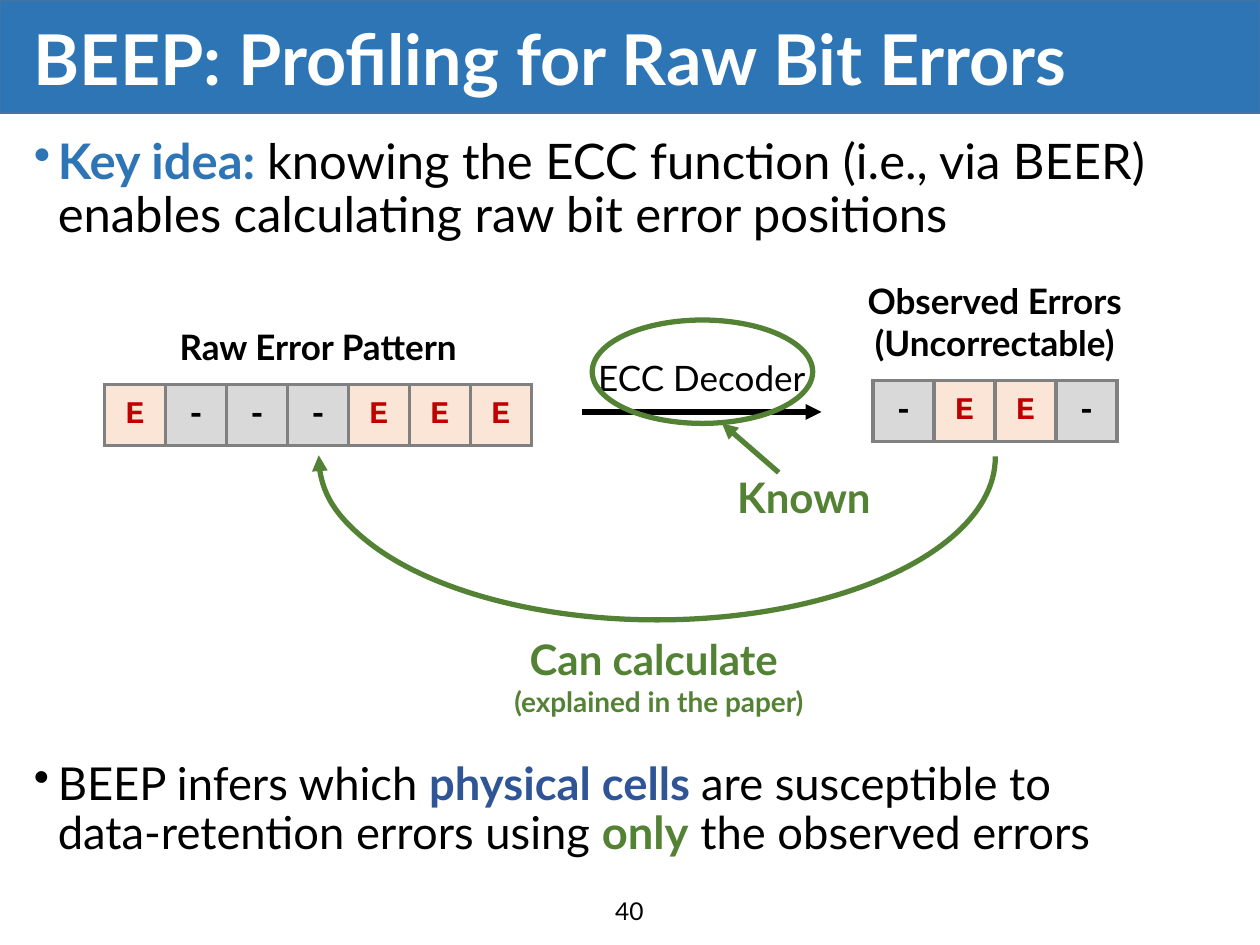
from lxml import etree
from pptx import Presentation
from pptx.dml.color import RGBColor
from pptx.enum.shapes import MSO_CONNECTOR, MSO_SHAPE
from pptx.enum.text import MSO_ANCHOR, PP_ALIGN
from pptx.oxml.ns import qn
from pptx.util import Pt

PX = 9144  # 100 px to the inch
LEFT, CENTER = PP_ALIGN.LEFT, PP_ALIGN.CENTER
TOP, MIDDLE = MSO_ANCHOR.TOP, MSO_ANCHOR.MIDDLE
STRAIGHT = MSO_CONNECTOR.STRAIGHT
RECTANGLE, ELLIPSE, ARC = MSO_SHAPE.RECTANGLE, MSO_SHAPE.OVAL, MSO_SHAPE.ARC
color = RGBColor.from_string
BLACK, WHITE, GREEN, BLUE = "000000", "FFFFFF", "548235", "2E75B6"

deck = Presentation()
deck.slide_width, deck.slide_height = 1000 * PX, 750 * PX
page = deck.slides.add_slide(deck.slide_layouts[6])


def add_text(place, lines, align=CENTER, anchor=TOP, inset=(7, 4), spacing=None, bullet=False):
    """Each line is (size, spans); each span is (text, colour, bold)."""
    box = page.shapes.add_textbox(*[n * PX for n in place])
    frame = box.text_frame
    frame.word_wrap = True
    frame.vertical_anchor = anchor
    frame.margin_left = frame.margin_right = inset[0] * PX
    frame.margin_top = frame.margin_bottom = inset[1] * PX
    for index, (size, spans) in enumerate(lines):
        para = frame.add_paragraph() if index else frame.paragraphs[0]
        para.alignment = align
        para.line_spacing = spacing
        para.font.name, para.font.size = "Lato", Pt(size)
        if bullet:
            para.space_before = Pt(7.5)
            props = para._p.get_or_add_pPr()
            props.set("marL", str(19 * PX))
            props.set("indent", str(-19 * PX))
            mark = etree.Element(qn("a:buChar"), char="•")
            props.find(qn("a:defRPr")).addprevious(mark)
        for text, hue, bold in spans:
            span = para.add_run()
            span.text = text
            span.font.color.rgb = color(hue)
            span.font.bold = bold


def style_line(shape, hue, arrow=False):
    """Gives a 3 pt line without shadow, with an arrowhead at its end if asked."""
    shape.line.color.rgb = color(hue)
    shape.line.width = Pt(3)
    if arrow:
        etree.SubElement(shape.line._get_or_add_ln(), qn("a:tailEnd"), type="triangle")
    if shape._element.spPr.find(qn("a:effectLst")) is None:
        etree.SubElement(shape._element.spPr, qn("a:effectLst"))


# Title band
band = page.shapes.add_shape(RECTANGLE, 0, 0, 1000 * PX, 90 * PX)
band.shadow.inherit = False
band.fill.solid()
band.fill.fore_color.rgb = color(BLUE)
band.line.color.rgb = color("43739E")
band.line.width = Pt(1)
add_text((17, 9, 964, 82), [(40, [("BEEP: Profiling for Raw Bit Errors", WHITE, True)])],
         LEFT, MIDDLE, (10, 5), 0.9)

# Bullet points
key_idea = [
    ("Key idea: ", BLUE, True),
    ("knowing the ECC function (i.e., via BEER) enables calculating raw bit error positions",
     BLACK, False),
]
inference = [
    ("BEEP infers which ", BLACK, False),
    ("physical cells ", "2F5597", True),
    ("are susceptible to data-retention errors using ", BLACK, False),
    ("only", GREEN, True),
    (" the observed errors", BLACK, False),
]
for place, size, spans in [((17, 104, 972, 107), 28, key_idea),
                           ((17, 599, 889, 93), 25.9, inference)]:
    add_text(place, [(size, spans)], LEFT, inset=(10, 5), spacing=0.9, bullet=True)

# Error patterns: E marks an error bit
for left, top, pattern in [(83, 305, "E---EEE"), (693, 302, "-EE-")]:
    side = round(48.4 * PX)
    table = page.shapes.add_table(1, len(pattern), left * PX, top * PX,
                                  side * len(pattern), side).table
    table.first_row = table.horz_banding = False
    table.rows[0].height = side
    for column, bit in enumerate(pattern):
        table.columns[column].width = side
        cell = table.cell(0, column)
        cell.vertical_anchor = MIDDLE
        cell.margin_left = cell.margin_right = 8 * PX
        cell.margin_top = cell.margin_bottom = 4 * PX
        for edge in ("a:lnL", "a:lnR", "a:lnT", "a:lnB"):
            border = etree.SubElement(cell._tc.get_or_add_tcPr(), qn(edge), w=str(Pt(2.25)))
            fill = etree.SubElement(border, qn("a:solidFill"))
            etree.SubElement(fill, qn("a:srgbClr"), val="808080")
        cell.fill.solid()
        cell.fill.fore_color.rgb = color("FBE5D6" if bit == "E" else "D9D9D9")
        cell.text = bit
        para = cell.text_frame.paragraphs[0]
        para.alignment = CENTER
        para.font.name, para.font.size, para.font.bold = "Courier New", Pt(18), True
        para.font.color.rgb = color("C00000" if bit == "E" else BLACK)

# Captions
add_text((101, 254, 303, 47), [(20, [("Raw Error Pattern", BLACK, True)])])
add_text((638, 218, 303, 88), [(20, [("Observed Errors", BLACK, True)]),
                               (20, [("(Uncorrectable)", BLACK, True)])])

# Decoder arrow, and the mark that the decoder is known
decoder = page.shapes.add_connector(STRAIGHT, 462 * PX, 327 * PX, 652 * PX, 327 * PX)
style_line(decoder, BLACK, arrow=True)
add_text((462, 279, 190, 47), [(20, [("ECC Decoder", BLACK, False)])])
ring = page.shapes.add_shape(ELLIPSE, 470 * PX, 254 * PX, 175 * PX, 82 * PX)
ring.fill.background()
style_line(ring, GREEN)
add_text((543, 375, 190, 47), [(24, [("Known", GREEN, True)])], spacing=0.9)
pointer = page.shapes.add_connector(STRAIGHT, 618 * PX, 375 * PX, 573 * PX, 336 * PX)
style_line(pointer, GREEN, arrow=True)

# Arc back from the observed errors to the raw pattern
way_back = page.shapes.add_shape(ARC, 253 * PX, 234 * PX, 537 * PX, 258 * PX)
way_back.adjustments[0], way_back.adjustments[1] = 215.89, 108.21
way_back.fill.background()
style_line(way_back, GREEN, arrow=True)
add_text((380, 499, 286, 81), [(24, [("Can calculate ", GREEN, True)]),
                               (16, [("(explained in the paper)", GREEN, True)])])

# Page number
add_text((418, 706, 163, 29), [(14, [("40", BLACK, False)])], inset=(10, 5))

deck.save("out.pptx")
